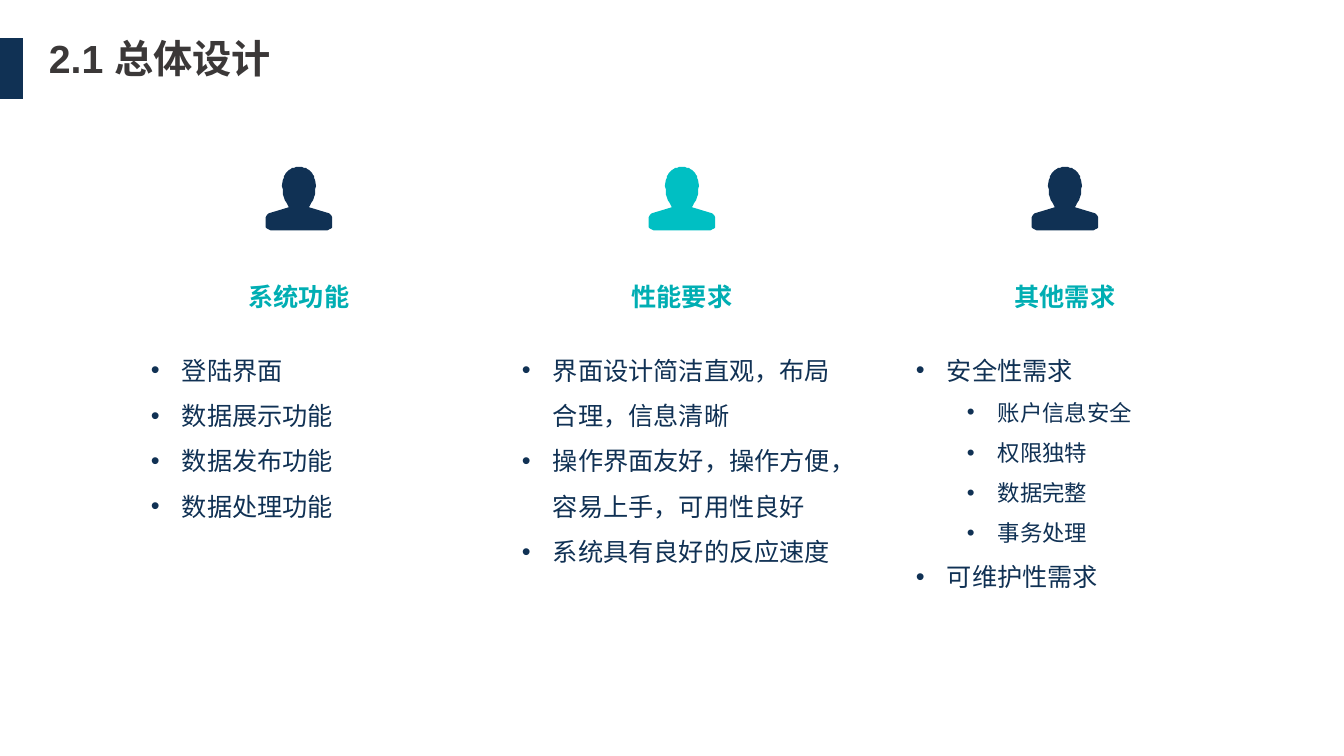
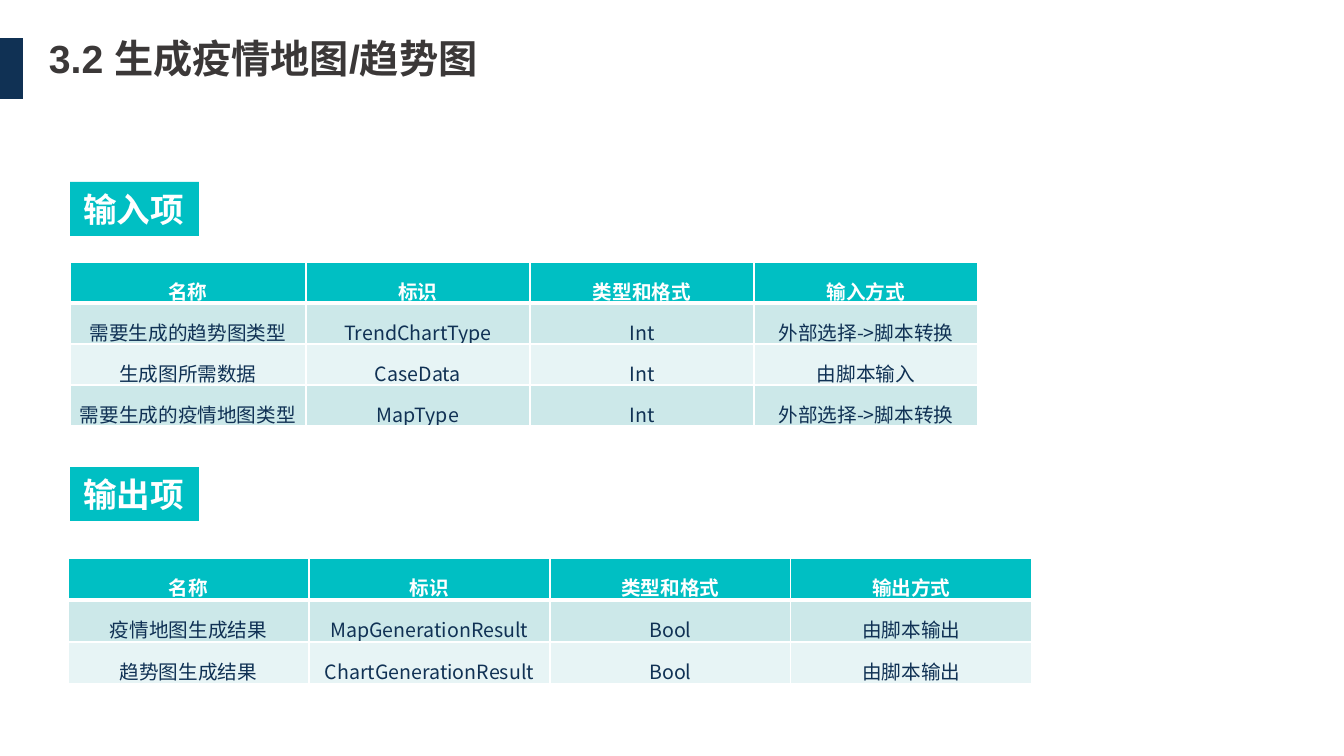
"""Build two slides of a design review: overall design and map generation."""
import pptx
import pptx.dml.color
import pptx.enum.shapes
import pptx.enum.text
import pptx.oxml
import pptx.oxml.ns
import pptx.util
from lxml import etree

SLIDE_SIZE = (1344, 756)
SCALE = 12192000 / 1344
NAVY, TEAL, TEAL_TEXT, TITLE_GREY, WHITE = "103154", "00BFC3", "00AEB3", "3B3838", "FFFFFF"
ROW_FILLS = ("CCE8E9", "E7F4F5")
LATIN, CJK = "Arial", "Noto Sans CJK SC"
LEFT, CENTER = pptx.enum.text.PP_ALIGN.LEFT, pptx.enum.text.PP_ALIGN.CENTER
TOP, MIDDLE = pptx.enum.text.MSO_ANCHOR.TOP, pptx.enum.text.MSO_ANCHOR.MIDDLE

DESIGN_TITLE = "2.1 总体设计"
DESIGN_COLUMNS = [
    {"heading": "系统功能", "icon": NAVY, "list_box": (141, 335, 316, 229),
     "items": [(0, "登陆界面"), (0, "数据展示功能"), (0, "数据发布功能"), (0, "数据处理功能")]},
    {"heading": "性能要求", "icon": TEAL, "list_box": (512, 335, 340, 275),
     "items": [(0, "界面设计简洁直观，布局合理，信息清晰"),
               (0, "操作界面友好，操作方便，容易上手，可用性良好"),
               (0, "系统具有良好的反应速度")]},
    {"heading": "其他需求", "icon": NAVY, "list_box": (906, 335, 316, 305),
     "items": [(0, "安全性需求"), (1, "账户信息安全"), (1, "权限独特"), (1, "数据完整"),
               (1, "事务处理"), (0, "可维护性需求")]},
]
FIRST_CENTER, COLUMN_PITCH, HEADING_WIDTH = 299, 383, 294
LEVEL_SIZES, LEVEL_MARGINS, HANGING = (18, 16), (31, 82), 31

PERSON_UNIT = 9144
PERSON_HALF = [(0, 0), (3, 0), (5, 1), (7, 1), (8, 2), (10, 3), (11, 4), (12, 5), (13, 6),
               (14, 8), (15, 9), (15, 11), (16, 13), (17, 19), (16, 22), (16, 27), (15, 30),
               (14, 33), (12, 36), (11, 38), (10, 40), (30, 46), (31, 47), (32, 48), (33, 50),
               (33, 58), (33, 60), (32, 61), (30, 62), (28, 63)]

MAP_TITLE = "3.2 生成疫情地图/趋势图"
MAP_SECTIONS = [
    {"label": "输入项", "label_top": 182, "table_at": (70, 262), "row_height": 41,
     "widths": (236, 224, 224, 224),
     "rows": [("名称", "标识", "类型和格式", "输入方式"),
              ("需要生成的趋势图类型", "TrendChartType", "Int", "外部选择->脚本转换"),
              ("生成图所需数据", "CaseData", "Int", "由脚本输入"),
              ("需要生成的疫情地图类型", "MapType", "Int", "外部选择->脚本转换")]},
    {"label": "输出项", "label_top": 467, "table_at": (68, 558), "row_height": 42,
     "widths": (241, 241, 241, 241),
     "rows": [("名称", "标识", "类型和格式", "输出方式"),
              ("疫情地图生成结果", "MapGenerationResult", "Bool", "由脚本输出"),
              ("趋势图生成结果", "ChartGenerationResult", "Bool", "由脚本输出")]},
]


def px(length):
    return pptx.util.Emu(round(length * SCALE))


def color(value):
    return pptx.dml.color.RGBColor.from_string(value)


def qualified(tag):
    return pptx.oxml.ns.qn(tag)


def indent(paragraph, margin, hanging):
    properties = paragraph._p.get_or_add_pPr()
    properties.set("marL", str(px(margin)))
    properties.set("indent", str(-px(hanging)))
    return properties


def add_bullet(paragraph, level):
    paragraph.level = level
    properties = indent(paragraph, LEVEL_MARGINS[level], HANGING)
    etree.SubElement(properties, qualified("a:buFont")).set("typeface", LATIN)
    etree.SubElement(properties, qualified("a:buChar")).set("char", "•")


def style(paragraph, size, text_color, bold=False, name=LATIN, align=LEFT, spacing=None):
    font = paragraph.font
    font.size, font.bold, font.name = pptx.util.Pt(size), bold, name
    font.color.rgb = color(text_color)
    defaults = paragraph._p.pPr.find(qualified("a:defRPr"))
    etree.SubElement(defaults, qualified("a:ea")).set("typeface", name)
    paragraph.alignment = align
    if spacing:
        paragraph.line_spacing = spacing


def fill_shape(shape, value):
    shape.shadow.inherit = False
    shape.fill.solid()
    shape.fill.fore_color.rgb = color(value)
    shape.line.fill.background()


def add_rectangle(slide, box, value):
    shape = slide.shapes.add_shape(pptx.enum.shapes.MSO_SHAPE.RECTANGLE, *map(px, box))
    fill_shape(shape, value)
    return shape


def add_text_box(slide, box):
    frame = slide.shapes.add_textbox(*map(px, box)).text_frame
    frame.word_wrap = True
    frame.vertical_anchor = TOP
    return frame


def add_line(slide, box, text, **look):
    paragraph = add_text_box(slide, box).paragraphs[0]
    paragraph.text = text
    style(paragraph, bold=True, **look)


def new_slide(presentation, title):
    slide = presentation.slides.add_slide(presentation.slide_layouts[6])
    add_rectangle(slide, (0, 38, 23, 61), NAVY)
    add_line(slide, (39, 29, 515, 57), title, size=28, text_color=TITLE_GREY)
    return slide


def add_list(slide, box, items):
    frame = add_text_box(slide, box)
    for index, (level, text) in enumerate(items):
        paragraph = frame.add_paragraph() if index else frame.paragraphs[0]
        paragraph.text = text
        add_bullet(paragraph, level)
        style(paragraph, LEVEL_SIZES[level], NAVY, spacing=1.5)


def add_person(slide, center, top, value):
    mirrored = [(-x, y) for x, y in reversed(PERSON_HALF[1:])]
    builder = slide.shapes.build_freeform(*PERSON_HALF[0], scale=PERSON_UNIT)
    builder.add_line_segments(PERSON_HALF[1:] + mirrored, close=True)
    fill_shape(builder.convert_to_shape(px(center), px(top)), value)


def add_label(slide, top, text):
    frame = add_rectangle(slide, (70, top, 129, 54), TEAL).text_frame
    frame.margin_left = frame.margin_right = px(13)
    frame.margin_top = frame.margin_bottom = px(7)
    frame.word_wrap = False
    frame.vertical_anchor = MIDDLE
    frame.text = text
    style(frame.paragraphs[0], 24, WHITE, True, CJK)


def add_borders(cell, top, bottom):
    properties = cell._tc.get_or_add_tcPr()
    for side, width in (("L", 1), ("R", 1), ("T", top), ("B", bottom)):
        line = etree.SubElement(properties, qualified(f"a:ln{side}"))
        line.set("w", str(pptx.util.Pt(width)))
        fill = etree.SubElement(line, qualified("a:solidFill"))
        etree.SubElement(fill, qualified("a:srgbClr")).set("val", WHITE)


def fill_cell(cell, text, row_index):
    header = row_index == 0
    add_borders(cell, 3 if row_index == 1 else 1, 3 if header else 1)
    cell.fill.solid()
    cell.fill.fore_color.rgb = color(TEAL if header else ROW_FILLS[(row_index - 1) % 2])
    cell.margin_left = cell.margin_right = px(7)
    cell.margin_top = cell.margin_bottom = 0
    cell.vertical_anchor = MIDDLE
    cell.text = text
    paragraph = cell.text_frame.paragraphs[0]
    indent(paragraph, 25, 25)
    style(paragraph, 14, WHITE if header else NAVY, header, CJK, CENTER, 1.5)


def add_grid(slide, position, widths, row_height, rows):
    size = (sum(widths), row_height * len(rows))
    table = slide.shapes.add_table(len(rows), len(widths), *map(px, position + size)).table
    for column, width in zip(table.columns, widths):
        column.width = px(width)
    for row_index, texts in enumerate(rows):
        table.rows[row_index].height = px(row_height)
        for column_index, text in enumerate(texts):
            fill_cell(table.cell(row_index, column_index), text, row_index)


def build_design(presentation):
    slide = new_slide(presentation, DESIGN_TITLE)
    for index, column in enumerate(DESIGN_COLUMNS):
        center = FIRST_CENTER + index * COLUMN_PITCH
        add_person(slide, center, 167, column["icon"])
        add_line(slide, (center - HEADING_WIDTH // 2, 276, HEADING_WIDTH, 40),
                 column["heading"], size=18, text_color=TEAL_TEXT, align=CENTER)
        add_list(slide, column["list_box"], column["items"])


def build_map(presentation):
    slide = new_slide(presentation, MAP_TITLE)
    for section in MAP_SECTIONS:
        add_label(slide, section["label_top"], section["label"])
        add_grid(slide, section["table_at"], section["widths"],
                 section["row_height"], section["rows"])


def main():
    presentation = pptx.Presentation()
    presentation.slide_width, presentation.slide_height = map(px, SLIDE_SIZE)
    build_design(presentation)
    build_map(presentation)
    presentation.save("out.pptx")


if __name__ == "__main__":
    main()
